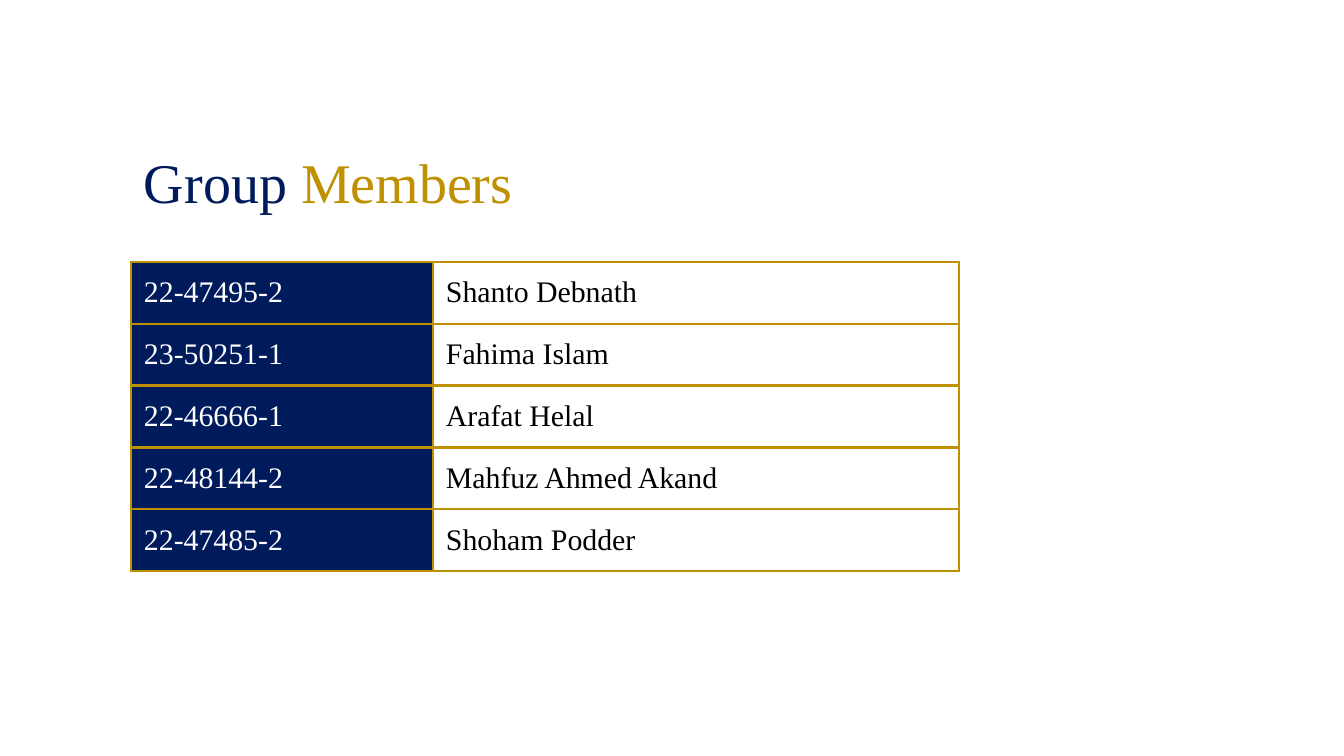
from lxml.etree import SubElement
from pptx import Presentation
from pptx.dml.color import RGBColor
from pptx.enum.text import MSO_ANCHOR
from pptx.oxml.ns import qn
from pptx.util import Emu, Pt

NAVY, GOLD, WHITE, BLACK = "001B5C", "BF9000", "FFFFFF", "000000"
FONT = "Times New Roman"

TITLE = [("Group ", NAVY), ("Members", GOLD)]
MEMBERS = [
    ("22-47495-2", "Shanto Debnath"),
    ("23-50251-1", "Fahima Islam"),
    ("22-46666-1", "Arafat Helal"),
    ("22-48144-2", "Mahfuz Ahmed Akand"),
    ("22-47485-2", "Shoham Podder"),
]
COLUMNS = [(302, WHITE), (526, BLACK)]  # width, text colour

LEFT, TITLE_TOP, TITLE_W, TITLE_H = 131, 128, 1133, 84
TABLE_TOP, ROW_H = 262, 60
INSET = 13


def px(n):
    return Emu(round(n * 914400 / 134.4))


def rgb(color):
    return RGBColor.from_string(color)


def add_run(p, text, size, color):
    r = p.add_run()
    r.text = text
    r.font.name = FONT
    r.font.size = Pt(size)
    r.font.color.rgb = rgb(color)


def set_margins(box, left, top, right, bottom):
    box.margin_left, box.margin_top = px(left), px(top)
    box.margin_right, box.margin_bottom = px(right), px(bottom)


def add_borders(cell, color, width):
    """Draw all four sides; call before the fill is set, which must follow."""
    tc_pr = cell._tc.get_or_add_tcPr()
    for side in ("lnL", "lnR", "lnT", "lnB"):
        ln = SubElement(tc_pr, qn(f"a:{side}"), w=str(Pt(width)))
        fill = SubElement(ln, qn("a:solidFill"))
        SubElement(fill, qn("a:srgbClr"), val=color)


prs = Presentation()
prs.slide_width, prs.slide_height = px(1344), px(756)
slide = prs.slides.add_slide(prs.slide_layouts[6])

title = slide.shapes.add_textbox(px(LEFT), px(TITLE_TOP), px(TITLE_W), px(TITLE_H))
tf = title.text_frame
tf.word_wrap = True
set_margins(tf, INSET, 20, INSET, 0)
for text, color in TITLE:
    add_run(tf.paragraphs[0], text, 30, color)

table_w = sum(width for width, _ in COLUMNS)
table = slide.shapes.add_table(
    len(MEMBERS), len(COLUMNS), px(LEFT), px(TABLE_TOP),
    px(table_w), px(ROW_H * len(MEMBERS))).table
table.first_row = table.horz_banding = False
for column, (width, _) in zip(table.columns, COLUMNS):
    column.width = px(width)

for row, member in zip(table.rows, MEMBERS):
    row.height = px(ROW_H)
    for i, (cell, text) in enumerate(zip(row.cells, member)):
        add_borders(cell, GOLD, 1.5)
        if i == 0:
            cell.fill.solid()
            cell.fill.fore_color.rgb = rgb(NAVY)
        else:
            cell.fill.background()
        cell.vertical_anchor = MSO_ANCHOR.MIDDLE
        set_margins(cell, INSET, INSET, INSET, INSET)
        add_run(cell.text_frame.paragraphs[0], text, 16, COLUMNS[i][1])

prs.save("out.pptx")
